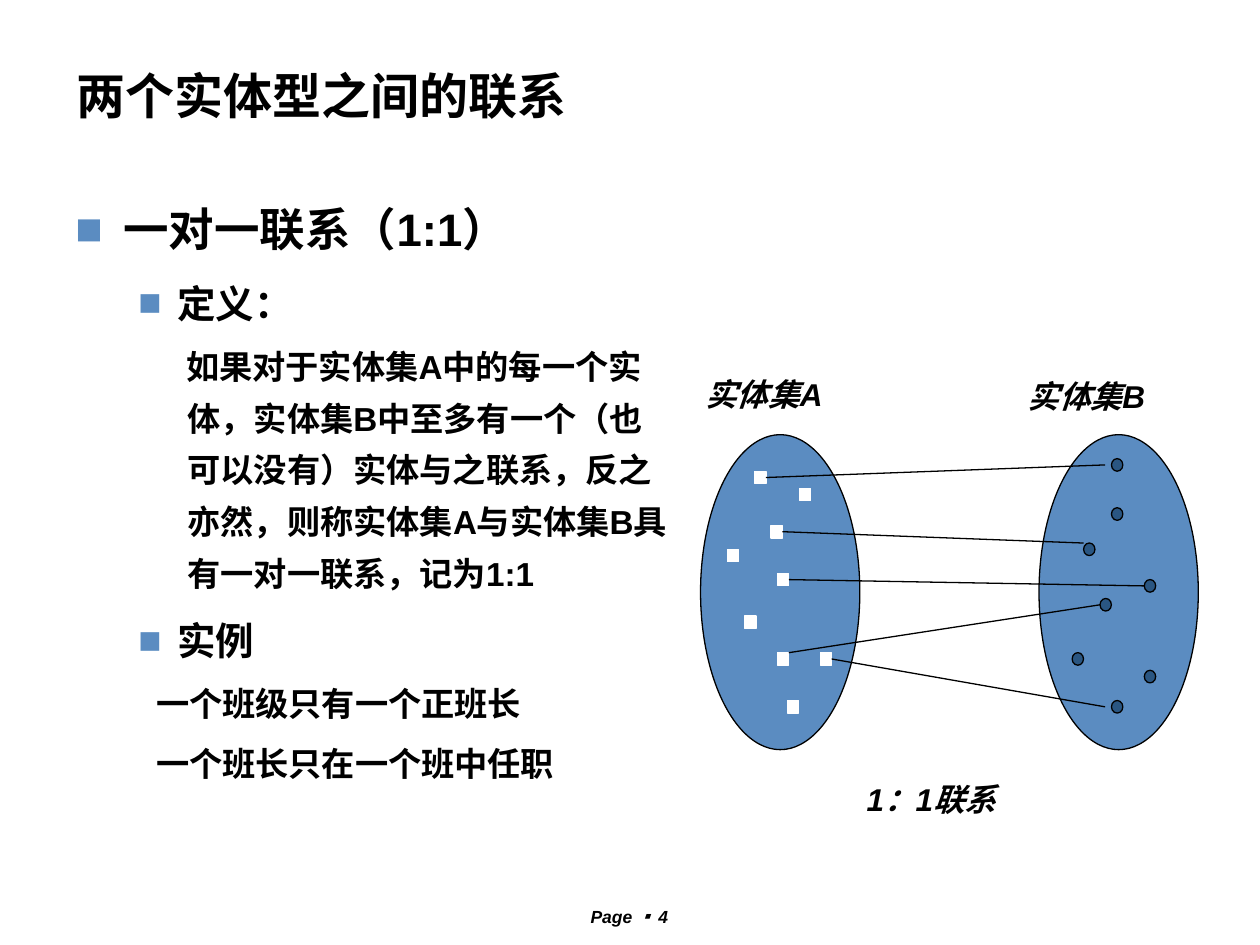
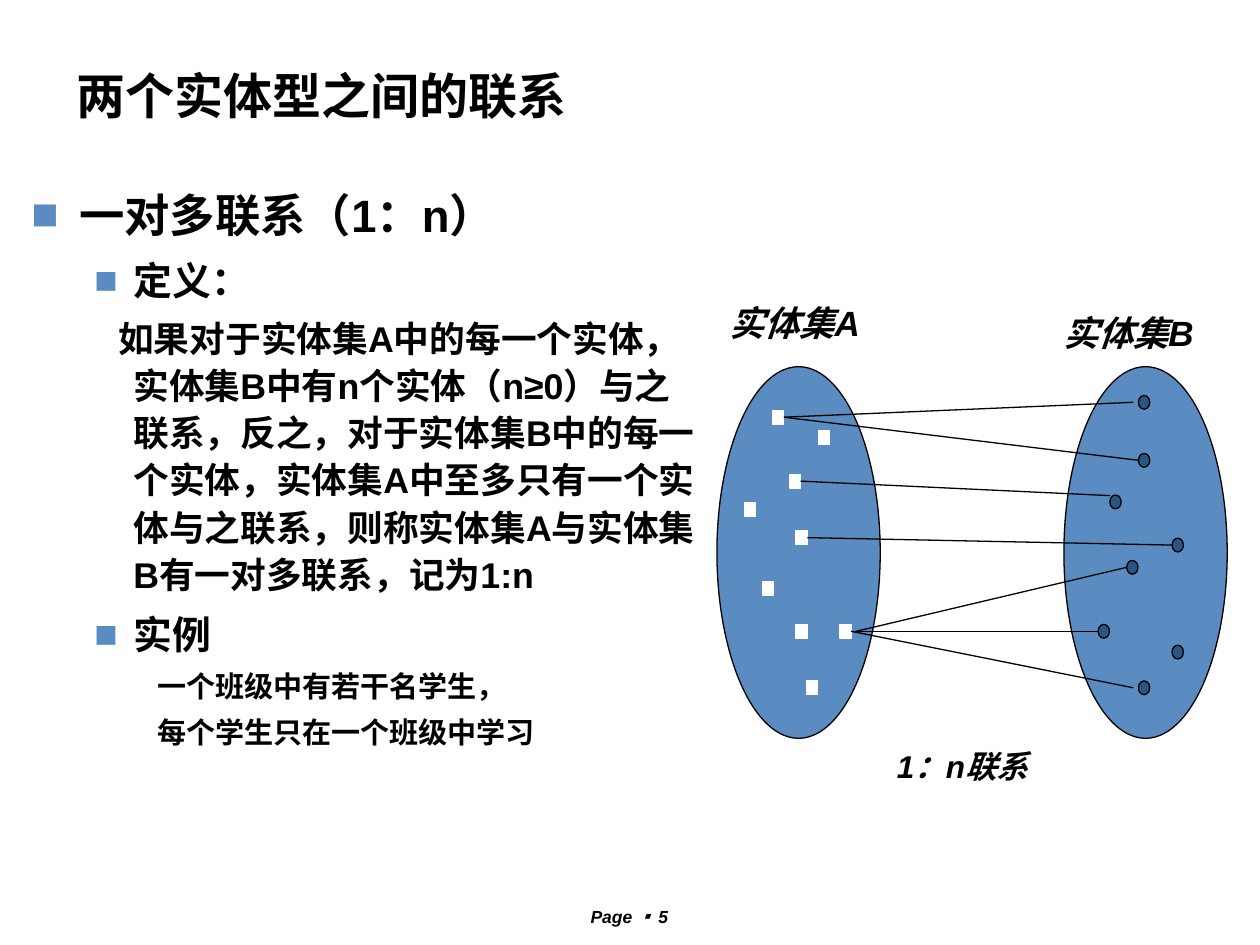
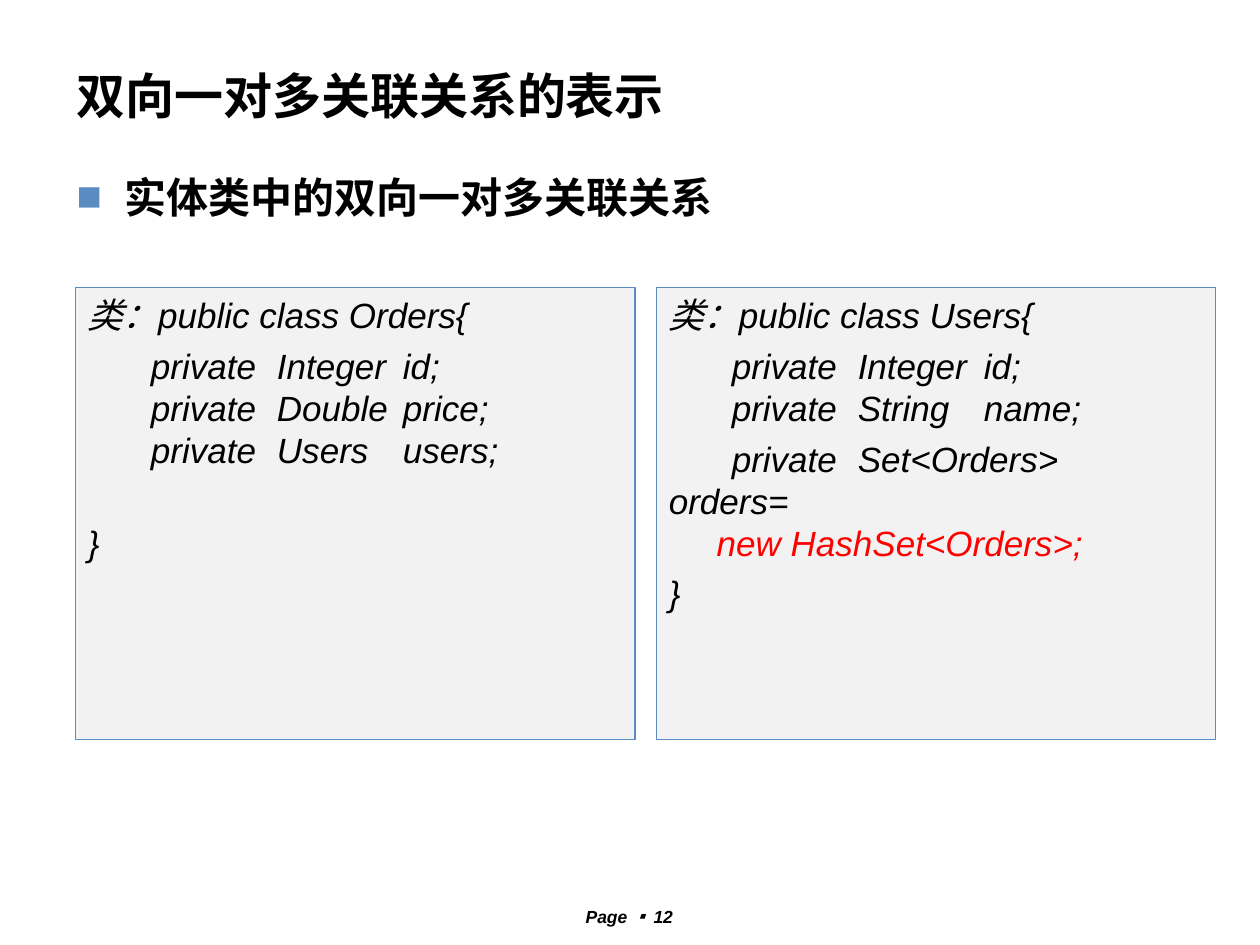
from lxml.etree import SubElement
from pptx import Presentation
from pptx.dml.color import RGBColor
from pptx.enum.shapes import MSO_CONNECTOR as Connector, MSO_SHAPE as Shape
from pptx.enum.text import MSO_ANCHOR as Anchor, PP_ALIGN as Align
from pptx.oxml.ns import qn
from pptx.util import Inches, Pt

COLORS = {"text": "000000", "accent": "5B8CC1", "member": "2A5682",
          "white": "FFFFFF", "panel": "F2F2F2", "highlight": "FF0000"}
FONT = "Arial"
SYMBOL_FONT = "Noto Sans CJK JP"

SQUARES = [(12, 13.6), (21, 19), (6.5, 38.4), (15.3, 30.8), (10, 59.6),
           (16.6, 46), (16.6, 71.2), (25.2, 71.2), (18.6, 86.4)]
CIRCLES = [(83.7, 9.6), (83.7, 25.2), (78.1, 36.4), (90.3, 48),
           (81.4, 54), (83.7, 86.4), (90.3, 76.8), (75.8, 71.2)]
MEMBER_WIDTH = 0.09
SET_SHARE = 0.32

TOPIC = dict(size=26, bullet=True, left=0.38, first=-0.38)
HEADING = dict(size=22, bullet=True, left=0.81, first=-0.31)


def rgb(name):
    return RGBColor.from_string(COLORS[name])


def add_run(paragraph, text, size=18, bold=True, italic=False,
            color="text", font=FONT):
    run = paragraph.add_run()
    run.text = text
    run.font.size = Pt(size)
    run.font.bold = bold
    run.font.italic = italic
    run.font.name = font
    run.font.color.rgb = rgb(color)
    SubElement(run.font._element, qn("a:ea"), typeface=font)


def write(frame, text, left=0, first=0, before=0, line=1, bullet=False,
          stops=(), align=Align.LEFT, **font_format):
    paragraph = frame.paragraphs[0]
    if paragraph.runs:
        paragraph = frame.add_paragraph()
    paragraph.alignment = align
    paragraph.space_before = Pt(before)
    paragraph.line_spacing = float(line)
    properties = paragraph._p.get_or_add_pPr()
    properties.set("marL", str(Inches(left)))
    properties.set("indent", str(Inches(first)))
    if bullet:
        bullet_color = SubElement(properties, qn("a:buClr"))
        SubElement(bullet_color, qn("a:srgbClr"), val=COLORS["accent"])
        SubElement(properties, qn("a:buFont"), typeface=FONT)
        SubElement(properties, qn("a:buChar"), char="■")
    else:
        SubElement(properties, qn("a:buNone"))
    if stops:
        tab_list = SubElement(properties, qn("a:tabLst"))
        for stop in stops:
            SubElement(tab_list, qn("a:tab"), pos=str(Inches(stop)), algn="l")
    add_run(paragraph, text, **font_format)
    return paragraph


def add_frame(slide, box, anchor=Anchor.TOP):
    frame = slide.shapes.add_textbox(*map(Inches, box)).text_frame
    frame.word_wrap = True
    frame.vertical_anchor = anchor
    return frame


def add_figure(slide, kind, box, fill, line):
    shape = slide.shapes.add_shape(kind, *map(Inches, box))
    shape.shadow.inherit = False
    shape.fill.solid()
    shape.fill.fore_color.rgb = rgb(fill)
    shape.line.color.rgb = rgb(line)
    shape.line.width = Pt(0.75)
    return shape


def add_page(presentation, title, number):
    slide = presentation.slides.add_slide(presentation.slide_layouts[6])
    footer = write(add_frame(slide, (4.21, 7.14, 1.57, 0.22)), "Page ",
                   align=Align.CENTER, size=10, italic=True)
    add_run(footer, "▪ ", size=10, italic=True, font=SYMBOL_FONT)
    add_run(footer, str(number), size=10, italic=True)
    write(add_frame(slide, (0.51, 0.44, 8.98, 0.63), Anchor.MIDDLE), title, size=28)
    return slide


def add_body(slide, box, paragraphs):
    frame = add_frame(slide, box)
    for text, paragraph_format in paragraphs:
        write(frame, text, **paragraph_format)


def add_link(slide, square, circle, start_shift, end_shift):
    begin_x = square.left + square.width + Inches(start_shift[0])
    begin_y = square.top + square.height // 2 + Inches(start_shift[1])
    end_x = circle.left + Inches(end_shift[0])
    end_y = circle.top + circle.height // 2 + Inches(end_shift[1])
    link = slide.shapes.add_connector(Connector.STRAIGHT, begin_x, begin_y, end_x, end_y)
    link.line.color.rgb = rgb("text")
    link.line.width = Pt(0.75)
    SubElement(link._element.spPr, qn("a:effectLst"))
    if start_shift == (0, 0):
        link.begin_connect(square, 3)


def add_mapping(slide, box, member_height, links, labels):
    left, top, width, height = box
    set_width = SET_SHARE * width
    for set_left in (left, left + width - set_width):
        add_figure(slide, Shape.OVAL, (set_left, top, set_width, height), "accent", "text")

    def add_members(kind, centers, fill, line):
        return [add_figure(slide, kind,
                           (left + width * x / 100 - MEMBER_WIDTH / 2,
                            top + height * y / 100 - member_height / 2,
                            MEMBER_WIDTH, member_height), fill, line)
                for x, y in centers]

    squares = add_members(Shape.RECTANGLE, SQUARES, "white", "white")
    circles = add_members(Shape.OVAL, CIRCLES, "member", "text")
    for square, circle, start_shift, end_shift in links:
        add_link(slide, squares[square], circles[circle], start_shift, end_shift)
    for text, x, y, label_width, size in labels:
        frame = add_frame(slide, (left + x, top + y, label_width, 0.4))
        write(frame, text, size=size, italic=True)


def add_one_to_one(presentation):
    slide = add_page(presentation, "两个实体型之间的联系", 4)
    heading = dict(HEADING, before=5.5, line=1.3)
    detail = dict(size=19, left=0.89, first=-0.25, before=4.8, line=1.3)
    add_body(slide, (0.5, 1.55, 4.95, 4.95), [
        ("一对一联系（1:1）", TOPIC),
        ("定义：", heading),
        ("如果对于实体集A中的每一个实体，实体集B中至多有一个（也可以没有）实体与之联系，"
         "反之亦然，则称实体集A与实体集B具有一对一联系，记为1:1", dict(detail, first=-0.01)),
        ("实例", heading),
        ("一个班级只有一个正班长", detail),
        ("一个班长只在一个班中任职", detail),
    ])
    add_mapping(slide, (5.56, 3.45, 3.95, 2.5), 0.1, [
        (0, 0, (0, 0), (-0.05, 0)),
        (3, 2, (0, 0), (0, -0.05)),
        (5, 3, (0, 0), (0, 0)),
        (6, 4, (0, -0.05), (0, 0)),
        (7, 5, (0, 0), (-0.05, 0)),
    ], [
        ("1：1联系", 1.22, 2.69, 1.88, 18),
        ("实体集A", -0.06, -0.52, 1.58, 18),
        ("实体集B", 2.5, -0.51, 1.66, 18),
    ])


def add_one_to_many(presentation):
    slide = add_page(presentation, "两个实体型之间的联系", 5)
    heading = dict(HEADING, size=22.2, before=6, line=1.1)
    example = dict(size=16.6, left=1.25, first=-0.25, before=4.5, line=1.1)
    add_body(slide, (0.15, 1.39, 5.48, 5.19), [
        ("一对多联系（1：n）", dict(TOPIC, size=25.9, line=1.1)),
        ("定义：", heading),
        ("如果对于实体集A中的每一个实体，实体集B中有n个实体（n≥0）与之联系，反之，"
         "对于实体集B中的每一个实体，实体集A中至多只有一个实体与之联系，"
         "则称实体集A与实体集B有一对多联系，记为1:n",
         dict(size=20.4, left=0.81, first=-0.12, before=5.5, line=1.1)),
        ("实例", heading),
        ("一个班级中有若干名学生，", example),
        ("每个学生只在一个班级中学习", example),
    ])
    add_mapping(slide, (5.69, 2.91, 4.05, 2.95), 0.11, [
        (0, 0, (0, 0), (-0.04, 0)),
        (0, 1, (0, 0), (0, 0)),
        (3, 2, (0, 0), (0, -0.05)),
        (5, 3, (0, 0), (0, 0)),
        (7, 4, (0.04, 0), (0, 0)),
        (7, 7, (0, 0), (0, 0)),
        (7, 5, (0, 0), (-0.04, 0)),
    ], [
        ("1：n联系", 1.33, 2.97, 1.63, 18),
        ("实体集A", 0, -0.57, 1.41, 20),
        ("实体集B", 2.65, -0.49, 1.41, 20),
    ])


def add_code_panel(slide, box, lines):
    panel = add_figure(slide, Shape.RECTANGLE, box, "panel", "accent")
    frame = panel.text_frame
    frame.word_wrap = True
    frame.vertical_anchor = Anchor.TOP
    for text, line_format in lines:
        write(frame, text, size=20, bold=False, italic=True, **line_format)


def add_class_page(presentation):
    slide = add_page(presentation, "双向一对多关联关系的表示", 12)
    add_body(slide, (0.51, 1.23, 8.98, 5.67), [
        ("实体类中的双向一对多关联关系", dict(TOPIC, size=24, line=1.2)),
    ])
    panels = [
        [("类：public class Orders{", {}),
         ("\tprivate\tInteger\tid;", dict(before=5, stops=(0.38, 1.45, 2.46))),
         ("\tprivate\tDouble\tprice;", dict(stops=(0.38, 1.45, 2.49))),
         ("\tprivate\tUsers\tusers;", dict(stops=(0.38, 1.45, 2.34))),
         ("}", dict(before=29))],
        [("类：public class Users{", {}),
         ("\tprivate\tInteger\tid;", dict(before=5, stops=(0.23, 1.3, 2.39))),
         ("\tprivate\tString\tname;", dict(stops=(0.23, 1.3, 2.26))),
         ("\tprivate\tSet<Orders>\torders=", dict(before=5, stops=(0.23, 1.22, 2.97))),
         ("new HashSet<Orders>;", dict(left=0.38, color="highlight")),
         ("}", dict(before=5))],
    ]
    for index, lines in enumerate(panels):
        add_code_panel(slide, (0.6 + 4.61 * index, 2.28, 4.44, 3.59), lines)


def main():
    presentation = Presentation()
    presentation.slide_width = Inches(10)
    presentation.slide_height = Inches(7.5)
    add_one_to_one(presentation)
    add_one_to_many(presentation)
    add_class_page(presentation)
    presentation.save("out.pptx")


if __name__ == "__main__":
    main()
